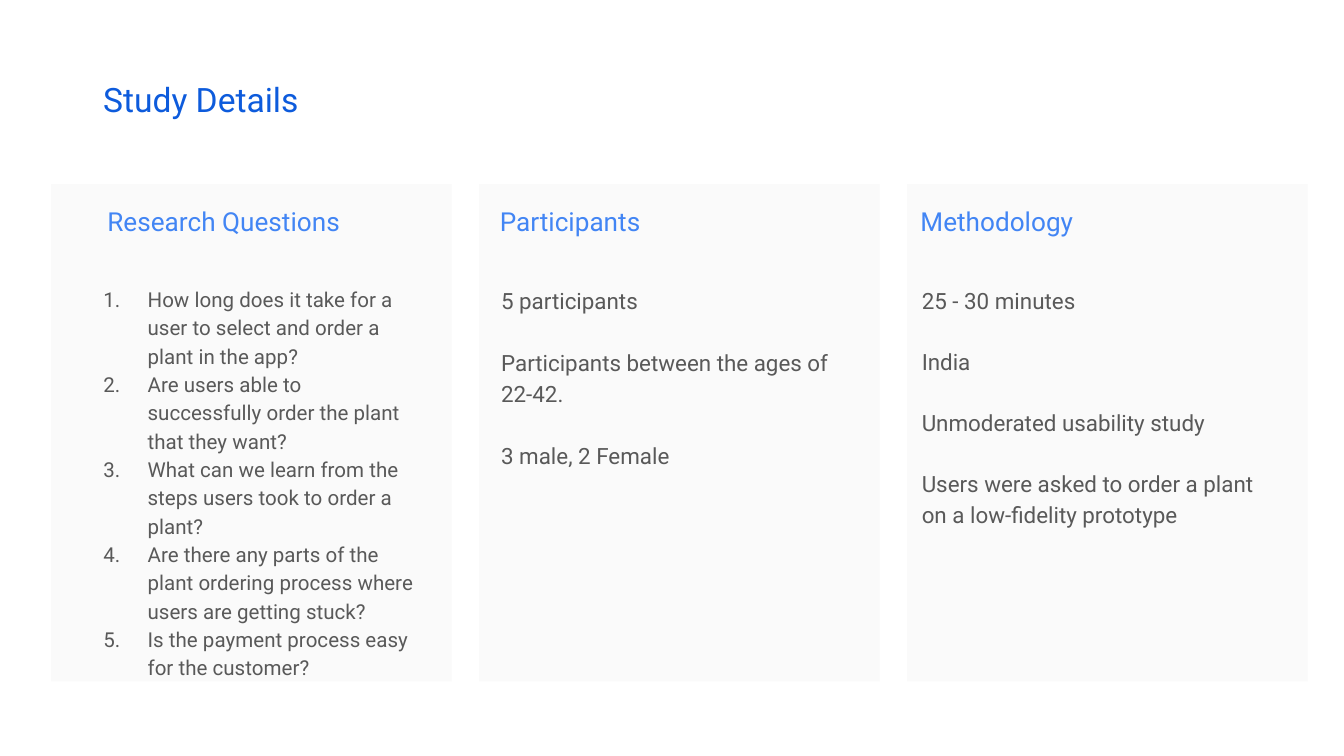
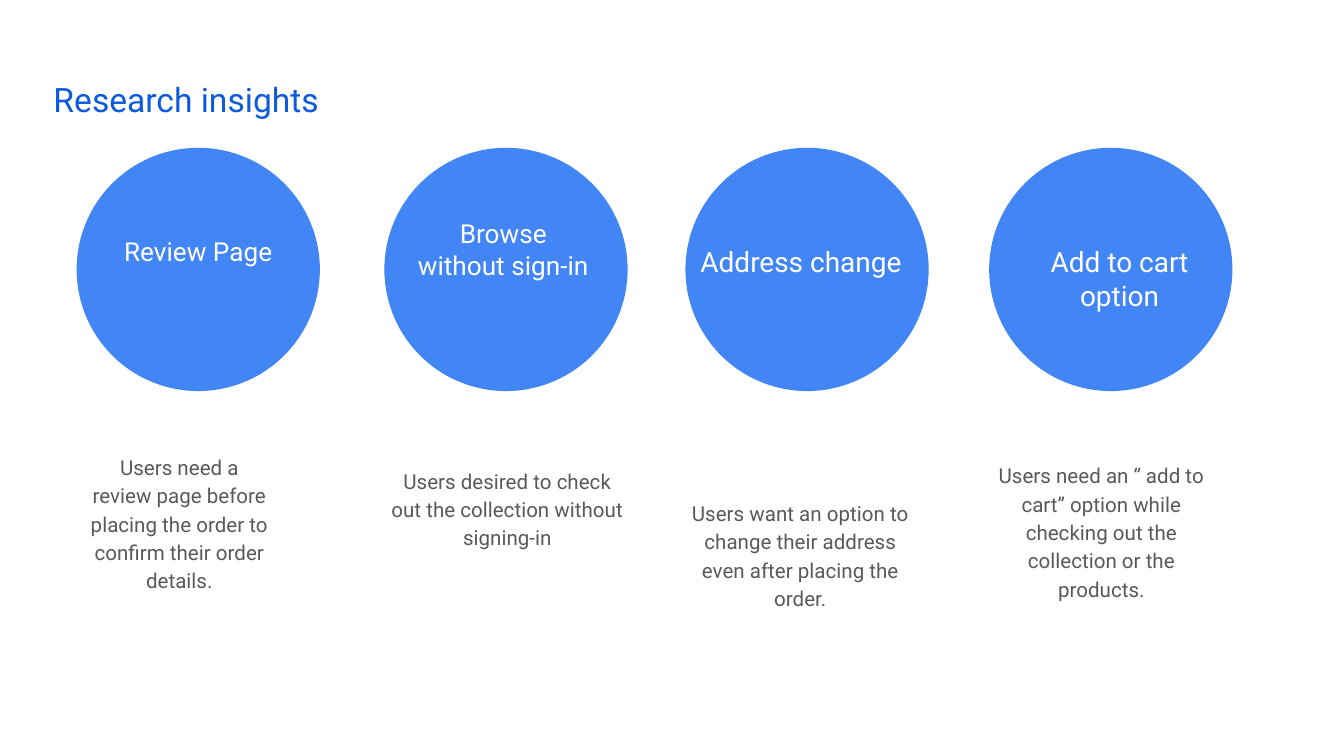
from dataclasses import dataclass, field

import pptx
import pptx.dml.color
import pptx.enum.shapes
import pptx.enum.text
import pptx.oxml.ns
import pptx.util
from lxml import etree

SLIDE_WIDTH = pptx.util.Inches(10)
SLIDE_HEIGHT = pptx.util.Inches(5.625)
# Square grid cells, a hundredth of the slide's width
COLUMNS, ROWS = 100, 56.25

FONT = "Roboto"
COLOURS = {
    "title": "0D5BDC",
    "accent": "4285F4",
    "body": "595959",
    "card": "FAFAFA",
    "white": "FFFFFF",
}
CENTER = pptx.enum.text.PP_ALIGN.CENTER
INSET = 1

# Paragraph formats shared by both slides
TITLE_FORMAT = {"line_spacing": 1.15}
BODY_FORMAT = {"line_spacing": 1.15}
LABEL_FORMAT = {"alignment": CENTER, "space_after": pptx.util.Pt(16)}
INSIGHT_FORMAT = {"alignment": CENTER, "line_spacing": 1.15}


@dataclass(frozen=True)
class Box:
    """Left, top, width and height in grid cells."""
    left: float
    top: float
    width: float
    height: float


@dataclass(frozen=True)
class Style:
    size: float
    colour: str
    paragraph: dict = field(default_factory=dict)
    gap: float = 0  # points between paragraphs
    indent: float = 0  # grid cells
    hanging: float = 0
    numbered: bool = False
    top_inset: float = INSET


@dataclass(frozen=True)
class Card:
    heading: str
    heading_left: float
    heading_indent: float
    body_left: float
    body_height: float
    lines: tuple[str, ...]
    style: Style


@dataclass(frozen=True)
class Insight:
    circle_left: float
    label: str
    label_size: float
    label_box: Box
    finding: str
    finding_box: Box
    finding_inset: float = INSET


CARDS = (
    Card("Research Questions", 5.1, 1.9, 5, 32.3, (
        "How long does it take for a user to select and order a plant in the app?",
        "Are users able to successfully order the plant that they want?",
        "What can we learn from the steps users took to order a plant?",
        "Are there any parts of the plant ordering process where users are getting stuck?",
        "Is the payment process easy for the customer?",
    ), Style(11, "body", BODY_FORMAT, indent=5, hanging=3.3, numbered=True)),
    Card("Participants", 36.2, 0, 36.3, 24.2, (
        "5 participants",
        "Participants between the ages of 22-42.",
        "3 male, 2 Female",
    ), Style(12, "body", BODY_FORMAT, gap=16.5)),
    Card("Methodology", 67.5, 0, 67.6, 24.2, (
        "25 - 30 minutes",
        "India",
        "Unmoderated usability study",
        "Users were asked to order a plant on a low-fidelity prototype",
    ), Style(12, "body", BODY_FORMAT, gap=16)),
)
CARD = Box(3.8, 13.7, 29.8, 37)
CARD_PITCH = 31.85
CARD_TEXT_WIDTH = 27.1

INSIGHTS = (
    Insight(5.7, "Review Page", 14, Box(6.9, 16.5, 15.7, 5.9),
            "Users need a review page before placing the order to confirm their order details.",
            Box(5.7, 32.6, 15.3, 22.3)),
    Insight(28.6, "Browse without sign-in", 14, Box(29.8, 15.2, 15.3, 9.4),
            "Users desired to check out the collection without signing-in",
            Box(28, 33.6, 19.5, 14.7)),
    Insight(51, "Address change", 15, Box(51, 17.2, 17.2, 5.9),
            "Users want an option to change their address even after placing the order.",
            Box(49.8, 31.7, 19.5, 15.3), finding_inset=5.3),
    Insight(73.6, "Add to cart option", 15, Box(74.9, 17.2, 16.8, 5.9),
            "Users need an “ add to cart” option while checking out the collection or the products.",
            Box(72.2, 33.2, 19.5, 13)),
)
CIRCLE_TOP, CIRCLE_SIZE = 11, 18.1


def across(cells: float) -> int:
    return round(SLIDE_WIDTH * cells / COLUMNS)


def down(cells: float) -> int:
    return round(SLIDE_HEIGHT * cells / ROWS)


def place(box: Box) -> tuple[int, int, int, int]:
    return across(box.left), down(box.top), across(box.width), down(box.height)


def rgb(name: str) -> pptx.dml.color.RGBColor:
    return pptx.dml.color.RGBColor.from_string(COLOURS[name])


def set_attributes(target, values: dict) -> None:
    for name, value in values.items():
        setattr(target, name, value)


def add_number(properties) -> None:
    colour = etree.SubElement(properties, pptx.oxml.ns.qn("a:buClr"))
    etree.SubElement(colour, pptx.oxml.ns.qn("a:srgbClr"), val=COLOURS["body"])
    etree.SubElement(properties, pptx.oxml.ns.qn("a:buAutoNum"), type="arabicPeriod")


def add_panel(slide, kind, box: Box, colour: str) -> None:
    panel = slide.shapes.add_shape(kind, *place(box))
    panel.shadow.inherit = False
    panel.fill.solid()
    panel.fill.fore_color.rgb = rgb(colour)
    panel.line.fill.background()


def add_text(slide, box: Box, lines: tuple[str, ...], style: Style) -> None:
    frame = slide.shapes.add_textbox(*place(box)).text_frame
    set_attributes(frame, {
        "word_wrap": True,
        "vertical_anchor": pptx.enum.text.MSO_ANCHOR.TOP,
        "margin_left": across(INSET),
        "margin_right": across(INSET),
        "margin_top": down(style.top_inset),
        "margin_bottom": down(INSET),
    })
    for index, line in enumerate(lines):
        paragraph = frame.add_paragraph() if index else frame.paragraphs[0]
        set_attributes(paragraph, style.paragraph)
        if index and style.gap:
            paragraph.space_before = pptx.util.Pt(style.gap)
        properties = paragraph._p.get_or_add_pPr()
        if style.indent:
            properties.set("marL", str(across(style.indent)))
            properties.set("indent", str(-across(style.hanging)))
        if style.numbered:
            add_number(properties)
        run = paragraph.add_run()
        run.text = line
        set_attributes(run.font, {"name": FONT, "size": pptx.util.Pt(style.size)})
        run.font.color.rgb = rgb(style.colour)


def add_titled_slide(deck, title: str, box: Box, indent: float = 0):
    slide = deck.slides.add_slide(deck.slide_layouts[6])
    slide.background.fill.solid()
    slide.background.fill.fore_color.rgb = rgb("white")
    add_text(slide, box, (title,), Style(18, "title", TITLE_FORMAT, indent=indent))
    return slide


def build_study_details(deck) -> None:
    slide = add_titled_slide(deck, "Study Details", Box(3, 4.4, 60.4, 7.2), indent=3.7)
    for index, card in enumerate(CARDS):
        left = CARD.left + index * CARD_PITCH
        add_panel(slide, pptx.enum.shapes.MSO_SHAPE.RECTANGLE,
                  Box(left, CARD.top, CARD.width, CARD.height), "card")
        add_text(slide, Box(card.heading_left, 14.3, CARD_TEXT_WIDTH, 3.1),
                 (card.heading,), Style(14, "accent", indent=card.heading_indent))
        add_text(slide, Box(card.body_left, 20.1, CARD_TEXT_WIDTH, card.body_height),
                 card.lines, card.style)


def build_research_insights(deck) -> None:
    slide = add_titled_slide(deck, "Research insights", Box(3, 4.4, 50.4, 5.3))
    for insight in INSIGHTS:
        add_panel(slide, pptx.enum.shapes.MSO_SHAPE.OVAL,
                  Box(insight.circle_left, CIRCLE_TOP, CIRCLE_SIZE, CIRCLE_SIZE), "accent")
        add_text(slide, insight.label_box, (insight.label,),
                 Style(insight.label_size, "white", LABEL_FORMAT))
        add_text(slide, insight.finding_box, (insight.finding,),
                 Style(11, "body", INSIGHT_FORMAT, top_inset=insight.finding_inset))


def main() -> None:
    deck = pptx.Presentation()
    set_attributes(deck, {"slide_width": SLIDE_WIDTH, "slide_height": SLIDE_HEIGHT})
    build_study_details(deck)
    build_research_insights(deck)
    deck.save("out.pptx")


if __name__ == "__main__":
    main()
